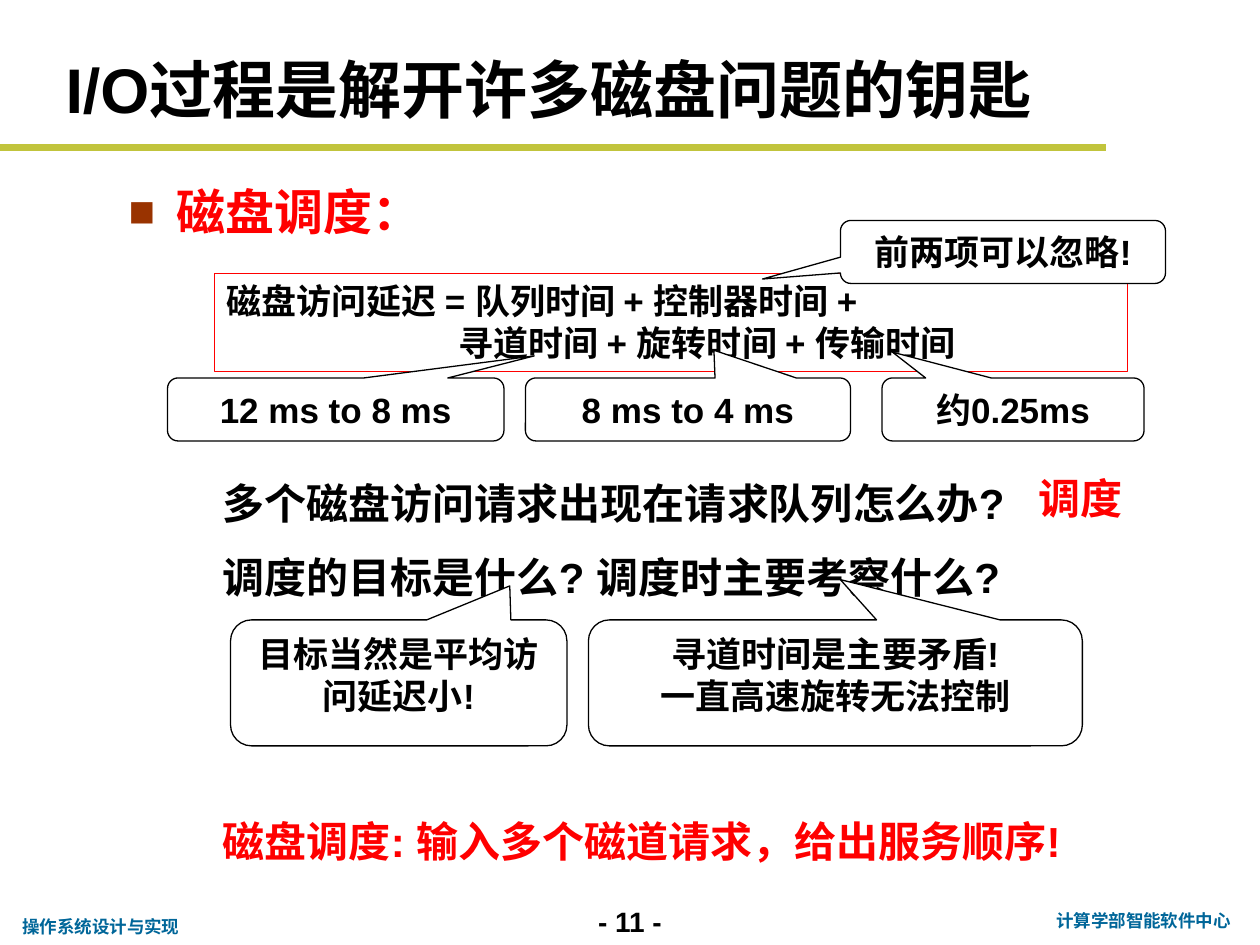
from lxml.etree import SubElement
from pptx import Presentation
from pptx.dml.color import RGBColor
from pptx.enum.shapes import MSO_CONNECTOR, MSO_SHAPE
from pptx.enum.text import MSO_ANCHOR, MSO_AUTO_SIZE, PP_ALIGN
from pptx.oxml.ns import qn
from pptx.util import Inches, Pt

BLACK, WHITE, RED = "000000", "FFFFFF", "FF0000"
OLIVE, TEAL, BROWN = "C1C43C", "006699", "993300"
LEFT, CENTER = PP_ALIGN.LEFT, PP_ALIGN.CENTER
TOP, MIDDLE = MSO_ANCHOR.TOP, MSO_ANCHOR.MIDDLE


def color(hex_text):
    return RGBColor.from_string(hex_text)


def inches(*lengths):
    return [Inches(length) for length in lengths]


def write(shape, text, size=20, font_color=BLACK, align=LEFT, anchor=TOP,
          line_spacing=1.0, margin_left=0.1, wrap=True):
    """Fill a shape with bold text, one paragraph per line."""
    frame = shape.text_frame
    frame.text = text
    frame.word_wrap = wrap
    frame.auto_size = MSO_AUTO_SIZE.NONE
    frame.vertical_anchor = anchor
    frame.margin_left = Inches(margin_left)
    for paragraph in frame.paragraphs:
        paragraph.alignment = align
        paragraph.line_spacing = line_spacing
        paragraph.space_before = Pt(0)
        for run in paragraph.runs:
            run.font.name = "Arial"
            run.font.size = Pt(size)
            run.font.bold = True
            run.font.color.rgb = color(font_color)
    return frame


def indent(paragraph, left, first=0):
    properties = paragraph._p.get_or_add_pPr()
    properties.set("marL", str(Inches(left)))
    properties.set("indent", str(Inches(first)))
    return properties


def add_square_bullet(paragraph, bullet_color):
    properties = indent(paragraph, 0.38, -0.38)
    bullet_fill = SubElement(properties, qn("a:buClr"))
    SubElement(bullet_fill, qn("a:srgbClr"), val=bullet_color)
    SubElement(properties, qn("a:buSzPct"), val="90000")
    SubElement(properties, qn("a:buFont"), typeface="Arial")
    SubElement(properties, qn("a:buChar"), char="■")


def place(shape, box):
    shape.left, shape.top, shape.width, shape.height = inches(*box)


def add_text(slide, box, text, **text_format):
    return write(slide.shapes.add_textbox(*inches(*box)), text, **text_format)


def add_outlined(slide, kind, box, line_color):
    shape = slide.shapes.add_shape(kind, *inches(*box))
    shape.shadow.inherit = False
    shape.fill.background()
    shape.line.color.rgb = color(line_color)
    shape.line.width = Pt(0.75)
    return shape


def add_callout(slide, box, tip, text, anchor=MIDDLE):
    """Add a balloon whose tip is an offset from its centre, in shares of its size."""
    shape = add_outlined(slide, MSO_SHAPE.ROUNDED_RECTANGULAR_CALLOUT, box, BLACK)
    shape.fill.solid()
    shape.fill.fore_color.rgb = color(WHITE)
    shape.adjustments[0], shape.adjustments[1] = tip
    write(shape, text, align=CENTER, anchor=anchor)


def add_statement(slide, top, text, font_color=BLACK):
    add_text(slide, (1.17, top, 7.5, 0.66), text, size=24,
             font_color=font_color, line_spacing=1.4, margin_left=0.6)


def add_rule(slide, y, right):
    rule = slide.shapes.add_connector(MSO_CONNECTOR.STRAIGHT, *inches(0, y, right, y))
    rule.line.color.rgb = color(OLIVE)
    rule.line.width = Pt(4)
    SubElement(rule._element.spPr, qn("a:effectLst"))


def add_footer(slide):
    add_text(slide, (4.5, 7.13, 1, 0.37), "- 11 -", size=16, align=CENTER)
    add_text(slide, (8.25, 7.17, 1.65, 0.27), "计算学部智能软件中心",
             size=10, font_color=TEAL, align=CENTER)
    add_text(slide, (0.08, 7.22, 1.46, 0.27), "操作系统设计与实现",
             size=10, font_color=TEAL, wrap=False)


def add_headings(slide):
    title, body = slide.placeholders
    place(title, (0.42, 0.33, 8.58, 0.74))
    write(title, "I/O过程是解开许多磁盘问题的钥匙", size=36, anchor=MIDDLE)
    place(body, (0.92, 1.25, 7.66, 0.95))
    frame = write(body, "磁盘调度：", size=28, font_color=RED, line_spacing=1.3)
    add_square_bullet(frame.paragraphs[0], BROWN)


def add_delay_formula(slide):
    box = add_outlined(slide, MSO_SHAPE.RECTANGLE, (1.7, 2.17, 7.25, 0.78), RED)
    frame = write(box, "磁盘访问延迟 = 队列时间 + 控制器时间 +\n"
                       "寻道时间 + 旋转时间 + 传输时间")
    indent(frame.paragraphs[1], 1.84)
    for left, width, tip, text in (
        (1.33, 2.67, (0.59, -0.85), "12 ms to 8 ms"),
        (4.17, 2.58, (0.08, -0.94), "8 ms to 4 ms"),
        (7, 2.08, (-0.46, -0.91), "约0.25ms"),
    ):
        add_callout(slide, (left, 3, width, 0.5), tip, text)
    add_callout(slide, (6.67, 1.75, 2.58, 0.5), (-0.74, 0.43), "前两项可以忽略!")


def add_scheduling(slide):
    add_statement(slide, 3.58, "多个磁盘访问请求出现在请求队列怎么办?")
    add_text(slide, (8.14, 3.7, 0.92, 0.5), "调度", size=24, font_color=RED)
    add_statement(slide, 4.17, "调度的目标是什么? 调度时主要考察什么?")
    add_callout(slide, (1.83, 4.92, 2.67, 1), (0.33, -0.77),
                "目标当然是平均访问延迟小!", anchor=TOP)
    add_callout(slide, (4.67, 4.92, 3.92, 1), (0.01, -0.82),
                "寻道时间是主要矛盾!\n一直高速旋转无法控制", anchor=TOP)
    add_statement(slide, 6.26, "磁盘调度: 输入多个磁道请求，给出服务顺序!", RED)


def main():
    presentation = Presentation()
    presentation.slide_width, presentation.slide_height = inches(10, 7.5)
    slide = presentation.slides.add_slide(presentation.slide_layouts[1])
    add_footer(slide)
    add_rule(slide, 1.17, 8.78)
    add_headings(slide)
    add_delay_formula(slide)
    add_scheduling(slide)
    presentation.save("out.pptx")


if __name__ == "__main__":
    main()
